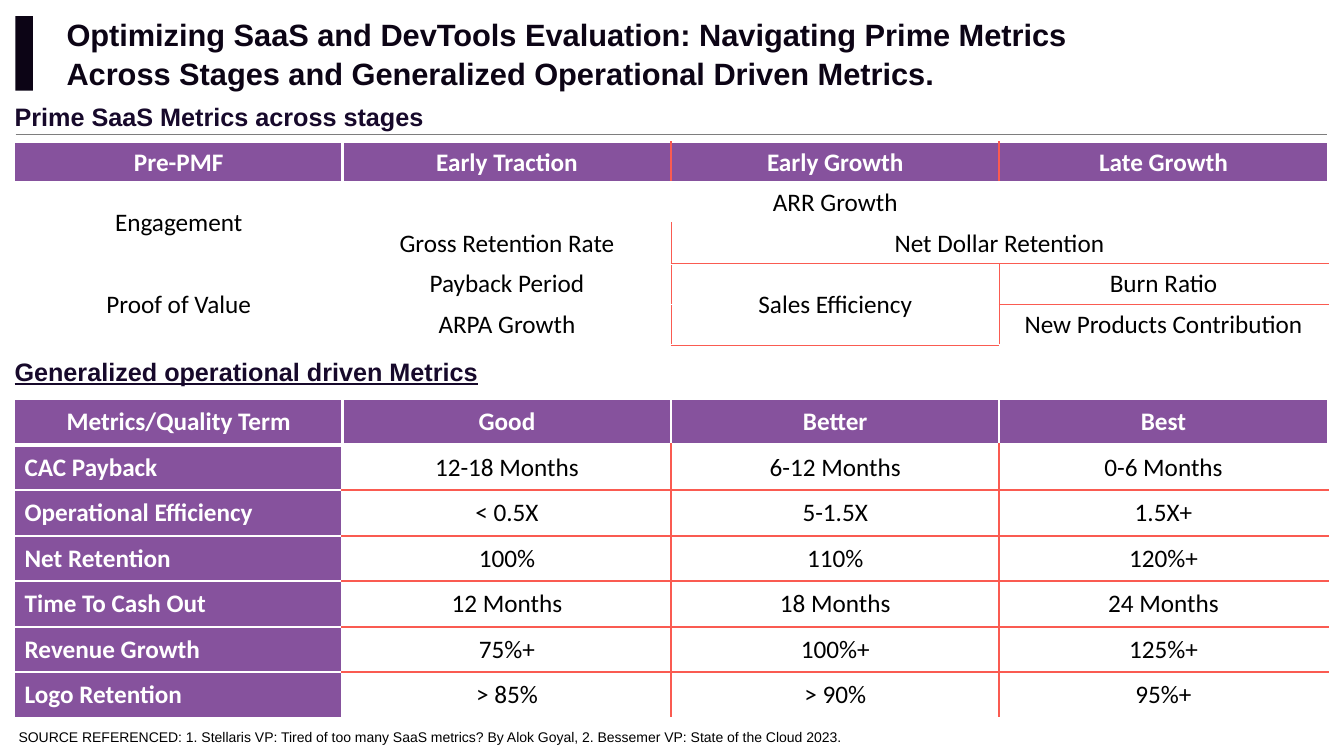
import pptx
import pptx.util
import pptx.dml.color
import pptx.enum.shapes
import pptx.enum.text
import pptx.oxml
import pptx.oxml.ns

Pt = pptx.util.Pt
ALIGN = pptx.enum.text.PP_ALIGN
ANCHOR = pptx.enum.text.MSO_ANCHOR
INK, NAVY, PURPLE = "0C0415", "17092B", "86529D"
RED, WHITE, BLACK, GREY = "FA5B51", "FFFFFF", "000000", "7E7E7E"

STAGES = [
    ["Pre-PMF", "Early Traction", "Early Growth", "Late Growth"],
    ["Engagement", "ARR Growth", "", ""],
    ["", "Gross Retention Rate", "Net Dollar Retention", ""],
    ["Proof of Value", "Payback Period", "Sales Efficiency", "Burn Ratio"],
    ["", "ARPA Growth", "", "New Products Contribution"],
]
SPANS = [(1, 0, 2, 0), (1, 1, 1, 3), (2, 2, 2, 3), (3, 0, 4, 0), (3, 2, 4, 2)]
EDGES = {
    (0, 1): "R", (0, 2): "LR", (0, 3): "L",
    (2, 1): "R", (2, 2): "LB", (2, 3): "B",
    (3, 1): "R", (3, 2): "LRTB", (3, 3): "LTB",
    (4, 1): "R", (4, 2): "LRB", (4, 3): "LT",
}
TERMS = [
    ["Metrics/Quality Term", "Good", "Better", "Best"],
    ["CAC Payback", "12-18 Months", "6-12 Months", "0-6 Months"],
    ["Operational Efficiency", "< 0.5X", "5-1.5X", "1.5X+"],
    ["Net Retention", "100%", "110%", "120%+"],
    ["Time To Cash Out", "12 Months", "18 Months", "24 Months"],
    ["Revenue Growth", "75%+", "100%+", "125%+"],
    ["Logo Retention", "> 85%", "> 90%", "95%+"],
]


def hue(code):
    """Turn a hex string into a colour."""
    return pptx.dml.color.RGBColor.from_string(code)


def apply(item, values):
    """Set each attribute named in a dict."""
    for name, value in values.items():
        setattr(item, name, value)


def write(frame, text, color, style):
    """Put one styled paragraph in a text frame."""
    para = frame.paragraphs[0]
    para.text = text
    apply(para.font, style)
    para.font.color.rgb = hue(color)
    return para


def place(shape, box):
    """Move a shape to a box given in points."""
    apply(shape, dict(zip(("left", "top", "width", "height"), map(Pt, box))))


def label(slide, box, text, color, style):
    """Add a text box without side margins."""
    frame = slide.shapes.add_textbox(*map(Pt, box)).text_frame
    apply(frame, {"margin_left": 0, "margin_right": 0, "margin_top": Pt(0.7),
                  "margin_bottom": 0, "word_wrap": True})
    write(frame, text, color, style)


def banner(slide, box):
    """Place the dark bar and the slide title."""
    x, y, w, h = box
    bar = slide.shapes.add_shape(pptx.enum.shapes.MSO_SHAPE.RECTANGLE,
                                 *map(Pt, (x, y, 12.6, h)))
    bar.shadow.inherit = False
    bar.fill.solid()
    bar.fill.fore_color.rgb = hue(INK)
    bar.line.fill.background()
    title = slide.shapes.title
    place(title, (x + 36.6, y - 2.1, w - 36.6, h + 1.7))
    apply(title.text_frame, {
        "margin_left": 0, "margin_right": 0, "margin_top": Pt(0.7), "margin_bottom": 0,
        "word_wrap": True, "vertical_anchor": ANCHOR.TOP,
        "auto_size": pptx.enum.text.MSO_AUTO_SIZE.NONE})
    para = write(title.text_frame,
                 "Optimizing SaaS and DevTools Evaluation: Navigating Prime Metrics "
                 "Across Stages and Generalized Operational Driven Metrics.",
                 INK, {"name": "Arial", "size": Pt(22), "bold": True})
    apply(para, {"alignment": ALIGN.LEFT, "line_spacing": 1.05})


def rule(slide, box):
    """Draw a thin grey line along the top of a box."""
    x, y, w, h = box
    line = slide.shapes.add_connector(pptx.enum.shapes.MSO_CONNECTOR.STRAIGHT,
                                      Pt(x), Pt(y), Pt(x + w), Pt(y))
    line.line.width = Pt(0.75)
    line.line.color.rgb = hue(GREY)
    props = line._element.spPr
    props.append(pptx.oxml.parse_xml(
        f'<a:effectLst {pptx.oxml.ns.nsdecls("a")}/>'))


def border(cell, side, color, width):
    """Add one edge line to a cell."""
    cell._tc.get_or_add_tcPr().append(pptx.oxml.parse_xml(
        f'<a:ln{side} {pptx.oxml.ns.nsdecls("a")} w="{int(Pt(width))}">'
        f'<a:solidFill><a:srgbClr val="{color}"/></a:solidFill></a:ln{side}>'))


def weight(row, col, side):
    """Give the width of a white edge."""
    if (row, side) in ((0, "B"), (1, "T")):
        return 3
    return 2.25 if (col, side) in ((0, "R"), (1, "L")) else 1.5


def grid(slide, box, rows, edges, width, heads, spans=()):
    """Build a table with red edges, and purple cells where heads says so."""
    x, y, w, h = box
    table = slide.shapes.add_table(len(rows), len(rows[0]), *map(Pt, box)).table
    table.horz_banding = False
    for line in table.rows:
        line.height = Pt(h / len(rows))
    for column in table.columns:
        column.width = Pt(w / len(rows[0]))
    for row, texts in enumerate(rows):
        for col, text in enumerate(texts):
            cell = table.cell(row, col)
            head = heads(row, col)
            side_head = head and row > 0
            for side in "LRTB":
                if side in edges.get((row, col), ""):
                    border(cell, side, RED, width if row else 1.5)
                else:
                    border(cell, side, WHITE, weight(row, col, side))
            if head:
                cell.fill.solid()
                cell.fill.fore_color.rgb = hue(PURPLE)
            else:
                cell.fill.background()
            apply(cell, {"margin_left": Pt(7.2 if side_head else 0), "margin_right": 0,
                         "margin_top": 0, "margin_bottom": 0,
                         "vertical_anchor": ANCHOR.MIDDLE})
            para = write(cell.text_frame, text, WHITE if head else BLACK,
                         {"name": "Calibri", "size": Pt(18), "bold": head})
            para.alignment = ALIGN.LEFT if side_head else ALIGN.CENTER
    for top, left, bottom, right in spans:
        table.cell(top, left).merge(table.cell(bottom, right))


def stages(slide, box):
    """Place the heading, line and table of metrics by stage."""
    x, y, w, h = box
    label(slide, (x, y, w, 24), "Prime SaaS Metrics across stages", NAVY,
          {"name": "Arial", "size": Pt(18), "bold": True})
    rule(slide, (x + 0.8, y + 24.6, w - 1.2, 0))
    grid(slide, (x, y + 30.2, w, h - 30.2), STAGES, EDGES, 0.75,
         lambda row, col: row == 0, SPANS)


def terms(slide, box):
    """Place the heading and table of quality terms."""
    x, y, w, h = box
    label(slide, (x, y, w, 24), "Generalized operational driven Metrics", NAVY,
          {"name": "Arial", "size": Pt(18), "bold": True, "underline": True})
    last = len(TERMS) - 1
    edges = {(row, col): "L" * (col > 1) + "R" * (col < 3)
             + "T" * (row > 1) + "B" * (row < last)
             for row in range(1, last + 1) for col in range(1, 4)}
    grid(slide, (x, y + 31.8, w, h - 31.8), TERMS, edges, 1.5,
         lambda row, col: row == 0 or col == 0)


def main():
    """Build and save the slide."""
    deck = pptx.Presentation()
    apply(deck, {"slide_width": Pt(960), "slide_height": Pt(540)})
    slide = deck.slides.add_slide(deck.slide_layouts[5])
    banner(slide, (10.9, 11.5, 768.9, 53.3))
    stages(slide, (10.4, 71.3, 938, 175.2))
    terms(slide, (10.4, 253.5, 938, 259.3))
    label(slide, (13.3, 519.8, 640, 14),
          "SOURCE REFERENCED: 1. Stellaris VP: Tired of too many SaaS metrics? "
          "By Alok Goyal, 2. Bessemer VP: State of the Cloud 2023.",
          BLACK, {"name": "Arial", "size": Pt(10)})
    deck.save("out.pptx")


if __name__ == "__main__":
    main()
